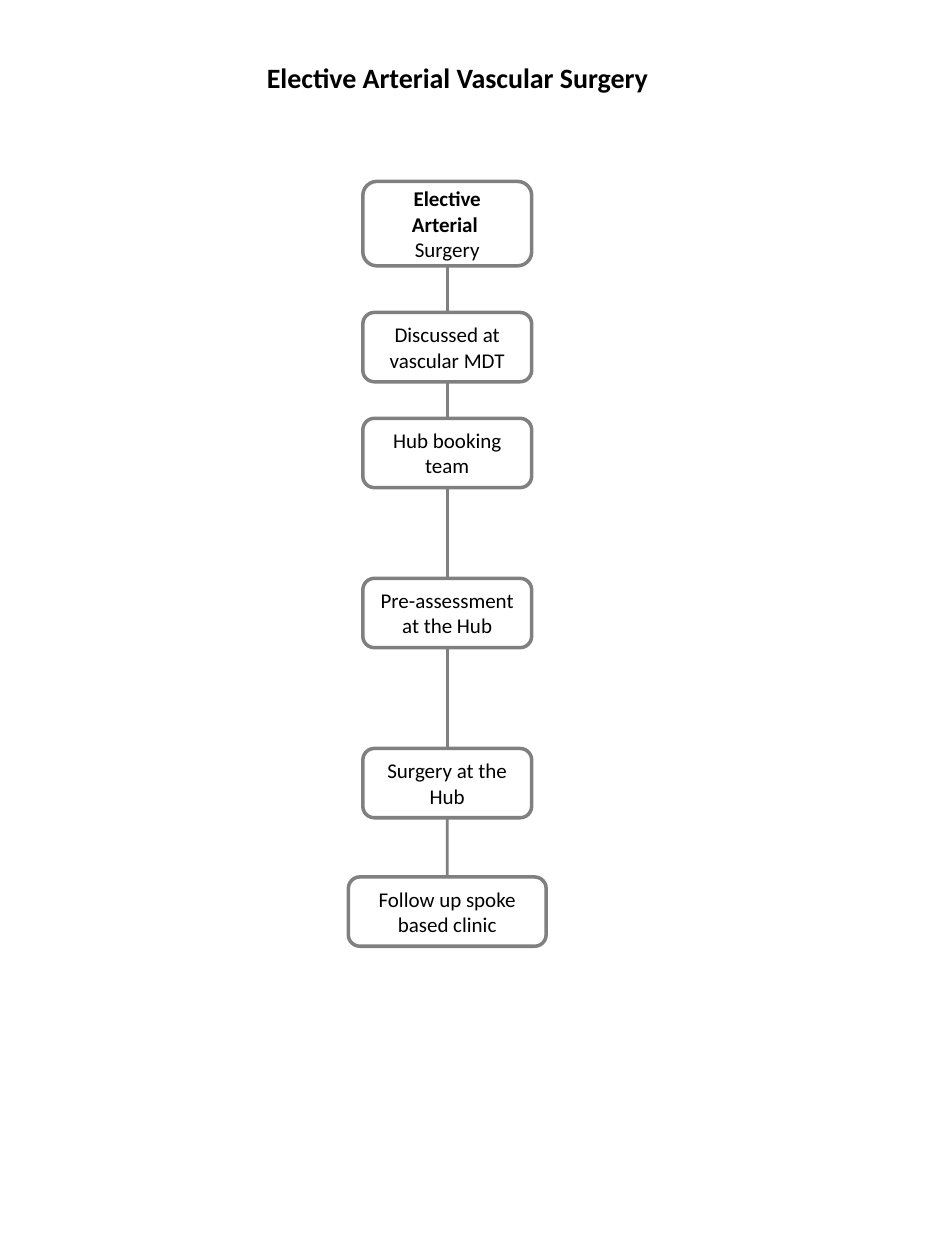
from lxml.etree import SubElement
from pptx import Presentation
from pptx.dml.color import RGBColor
from pptx.enum.shapes import MSO_CONNECTOR, MSO_SHAPE
from pptx.enum.text import MSO_ANCHOR, MSO_AUTO_SIZE, PP_ALIGN
from pptx.oxml.ns import qn
from pptx.util import Inches, Pt

COLORS = {"line": "808080", "text": "000000"}
FONT = "Calibri"
CENTER_X = 3.55

TITLE = "Elective Arterial Vascular Surgery"
# Pathway steps: top, width, height, paragraphs of (text, bold)
STEPS = [
    (1.44, 1.34, 0.67, [("Elective Arterial ", True), ("Surgery", False)]),
    (2.48, 1.34, 0.55, [("Discussed at vascular MDT", False)]),
    (3.32, 1.34, 0.55, [("Hub booking team", False)]),
    (4.59, 1.34, 0.55, [("Pre-assessment at the Hub", False)]),
    (5.94, 1.34, 0.55, [("Surgery at the Hub", False)]),
    (6.96, 1.57, 0.55, [("Follow up spoke based clinic", False)]),
]


def add_run(p, text, size, bold):
    r = p.add_run()
    r.text = text
    r.font.name = FONT
    r.font.size = Pt(size)
    r.font.bold = bold
    r.font.color.rgb = RGBColor.from_string(COLORS["text"])


def style_line(line, width):
    line.color.rgb = RGBColor.from_string(COLORS["line"])
    line.width = Pt(width)


def add_step(shapes, top, width, height, paragraphs):
    s = shapes.add_shape(MSO_SHAPE.ROUNDED_RECTANGLE, Inches(CENTER_X - width / 2),
                         Inches(top), Inches(width), Inches(height))
    s.shadow.inherit = False
    s.fill.background()
    style_line(s.line, 2)
    tf = s.text_frame
    tf.word_wrap = True
    tf.vertical_anchor = MSO_ANCHOR.MIDDLE
    for i, (text, bold) in enumerate(paragraphs):
        p = tf.add_paragraph() if i else tf.paragraphs[0]
        p.alignment = PP_ALIGN.CENTER
        add_run(p, text, 12, bold)
    return s


def join_steps(shapes, upper, lower):
    c = shapes.add_connector(MSO_CONNECTOR.STRAIGHT, 0, 0, 0, 0)
    c.begin_connect(upper, 2)
    c.end_connect(lower, 0)
    style_line(c.line, 1.5)
    SubElement(c._element.spPr, qn("a:effectLst"))


prs = Presentation()
prs.slide_width, prs.slide_height = Inches(7.5), Inches(10)
slide = prs.slides.add_slide(prs.slide_layouts[6])

# Title
tb = slide.shapes.add_textbox(Inches(2.02), Inches(0.43), Inches(3.31), Inches(0.37))
tf = tb.text_frame
tf.word_wrap = True
tf.auto_size = MSO_AUTO_SIZE.SHAPE_TO_FIT_TEXT
add_run(tf.paragraphs[0], TITLE, 16, True)

# Pathway boxes and the lines between them
boxes = [add_step(slide.shapes, *step) for step in STEPS]
for upper, lower in zip(boxes, boxes[1:]):
    join_steps(slide.shapes, upper, lower)

prs.save("out.pptx")
